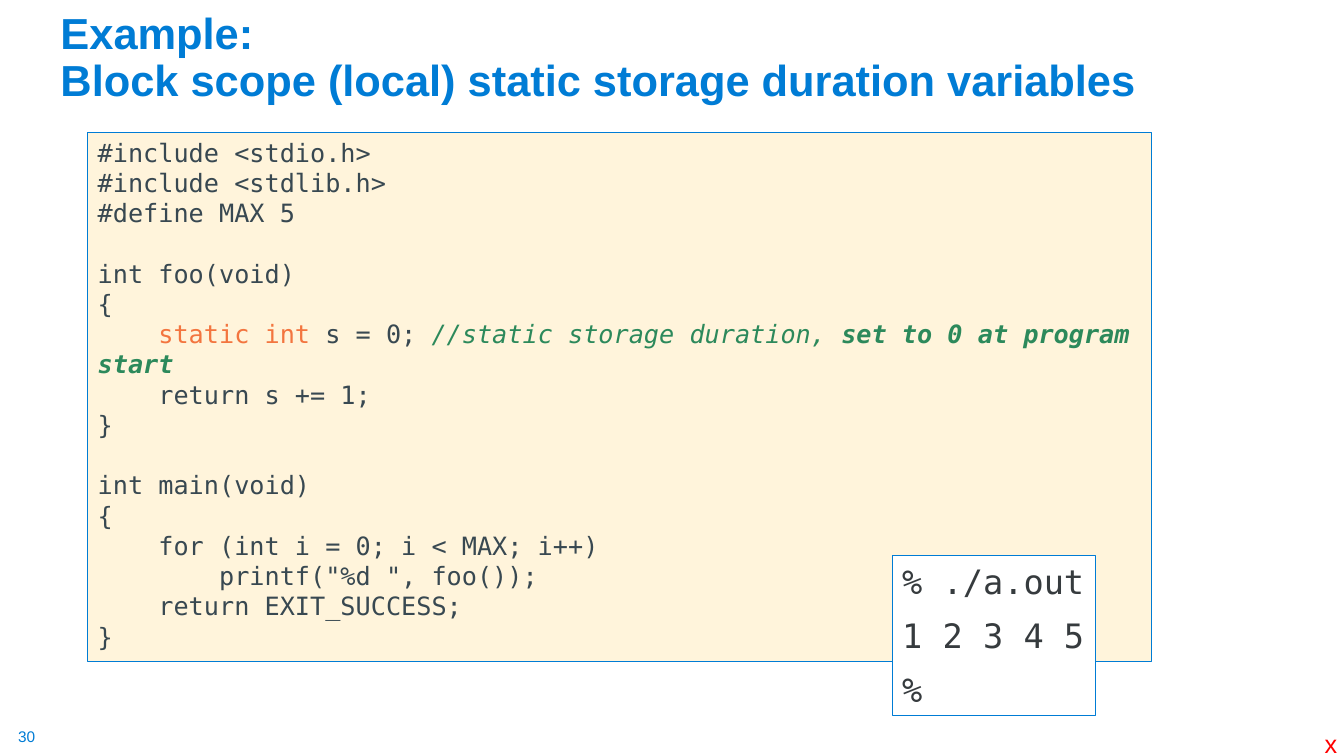
from pptx import Presentation
from pptx.dml.color import RGBColor
from pptx.enum.shapes import MSO_SHAPE
from pptx.enum.text import MSO_ANCHOR, MSO_AUTO_SIZE, PP_ALIGN
from pptx.util import Inches, Pt

RECTANGLE = MSO_SHAPE.RECTANGLE
TOP, BOTTOM = MSO_ANCHOR.TOP, MSO_ANCHOR.BOTTOM
LEFT = PP_ALIGN.LEFT
NO_AUTOSIZE = MSO_AUTO_SIZE.NONE

# Content: a code line is a string or a list of (text, style) runs
TITLE = ["Example: ", "Block scope (local) static storage duration variables"]
CODE = [
    "#include <stdio.h>",
    "#include <stdlib.h>",
    "#define MAX 5",
    "",
    "int foo(void)",
    "{",
    [("    ", "code"), ("static int", "keyword"), (" s = 0;", "code"),
     (" //static storage duration, ", "comment"),
     ("set to 0 at program start", "strong comment")],
    "    return s += 1;",
    "}",
    "",
    "int main(void)",
    "{",
    "    for (int i = 0; i < MAX; i++)",
    "        printf(\"%d \", foo());",
    "    return EXIT_SUCCESS;",
    "}",
]
OUTPUT = ["% ./a.out", "1 2 3 4 5", "%"]
PAGE_NUMBER = "30"
MARK = "x"

COLORS = {"blue": "007CD5", "red": "FF0000", "cream": "FFF4DB", "white": "FFFFFF",
          "slate": "384851", "orange": "F3753F", "green": "2C895B", "charcoal": "363B3E"}
SANS, MONO = "Arial", "DejaVu Sans Mono"

# Style: font, points, colour, bold, italic
STYLES = {
    "title": (SANS, 31, "blue", True, False),
    "number": (SANS, 11, "blue", False, False),
    "mark": (SANS, 18, "red", False, False),
    "code": (MONO, 18, "slate", False, False),
    "keyword": (MONO, 18, "orange", False, False),
    "comment": (MONO, 18, "green", False, True),
    "strong comment": (MONO, 18, "green", True, True),
    "output": (MONO, 24, "charcoal", False, False),
}
CODE_LEADING = 1.2

# Left, top, width, height in percent of the slide
AREAS = {
    "title": (3.75, 8, 83.95, 6.67),
    "code": (6.53, 17.47, 79.14, 70),
    "output": (66.39, 73.47, 15.15, 21.2),
    "number": (1.35, 96.13, 1.43, 2.53),
    "mark": (97.82, 95.73, 2.48, 5.33),
}

presentation = Presentation()
presentation.slide_width, presentation.slide_height = Inches(13.33), Inches(7.5)
slide = presentation.slides.add_slide(presentation.slide_layouts[5])


def area(name):
    sides = (presentation.slide_width, presentation.slide_height) * 2
    return [round(side * share / 100) for side, share in zip(sides, AREAS[name])]


def color(name):
    return RGBColor.from_string(COLORS[name])


def add_run(paragraph, text, style):
    run = paragraph.add_run()
    run.text = text
    font = run.font
    font.name, points, color_name, font.bold, font.italic = STYLES[style]
    font.size = Pt(points)
    font.color.rgb = color(color_name)


def add_panel(name, fill, lines, gap=0):
    shape = slide.shapes.add_shape(RECTANGLE, *area(name))
    shape.shadow.inherit = False
    shape.fill.solid()
    shape.fill.fore_color.rgb = color(fill)
    shape.line.color.rgb = color("blue")
    shape.line.width = Pt(0.75)
    frame = shape.text_frame
    frame.word_wrap = True
    frame.vertical_anchor = TOP
    for index, line in enumerate(lines):
        paragraph = frame.add_paragraph() if index else frame.paragraphs[0]
        paragraph.alignment = LEFT
        paragraph.line_spacing = Pt(STYLES[name][1] * CODE_LEADING)
        paragraph.space_before = Pt(gap if index else 0)
        for text, style in [(line, name)] if isinstance(line, str) else line:
            add_run(paragraph, text, style)


def add_label(name, text, inset=None):
    frame = slide.shapes.add_textbox(*area(name)).text_frame
    frame.word_wrap = False
    if inset is not None:
        frame.margin_left = frame.margin_right = inset
        frame.margin_top = frame.margin_bottom = inset
    add_run(frame.paragraphs[0], text, name)


# Title
title = slide.shapes.title
title.left, title.top, title.width, title.height = area("title")
title_frame = title.text_frame
title_frame.auto_size = NO_AUTOSIZE
title_frame.word_wrap = True
title_frame.vertical_anchor = BOTTOM
heading = title_frame.paragraphs[0]
heading.alignment = LEFT
heading.line_spacing = 0.9
heading.space_before = Pt(0)
for index, text in enumerate(TITLE):
    if index:
        heading.add_line_break()
    add_run(heading, text, "title")

# Program listing and its output
add_panel("code", "cream", CODE)
add_panel("output", "white", OUTPUT, gap=10)

# Page number and corner mark
add_label("number", PAGE_NUMBER, inset=0)
add_label("mark", MARK)

presentation.save("out.pptx")
